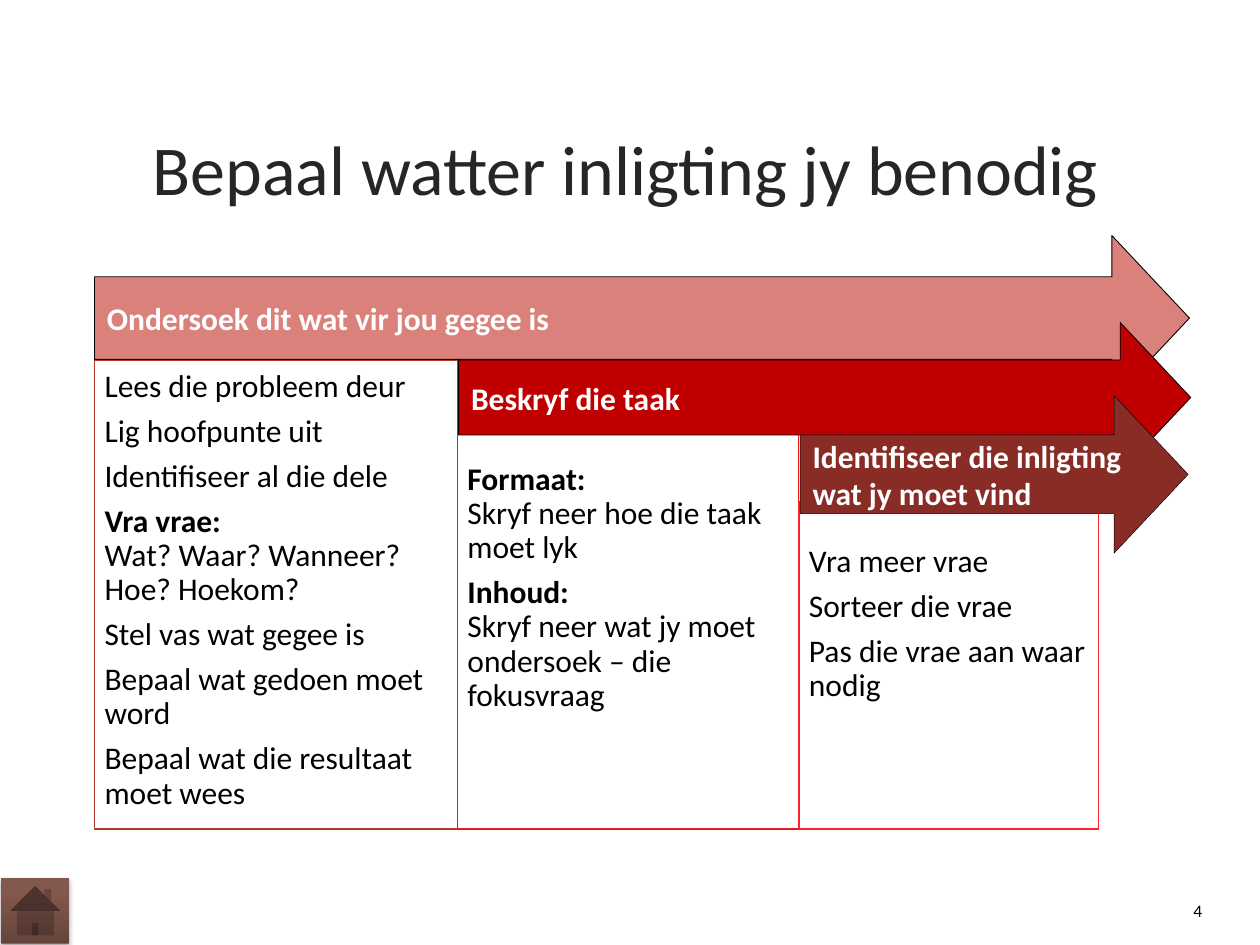
from dataclasses import dataclass

from lxml import etree
from pptx import Presentation
from pptx.dml.color import RGBColor
from pptx.enum.shapes import MSO_SHAPE
from pptx.enum.text import MSO_ANCHOR, PP_ALIGN
from pptx.util import Inches, Pt

RECTANGLE, ARROW, HOME = (
    MSO_SHAPE.RECTANGLE, MSO_SHAPE.RIGHT_ARROW, MSO_SHAPE.ACTION_BUTTON_HOME)
TOP, MIDDLE = MSO_ANCHOR.TOP, MSO_ANCHOR.MIDDLE
LEFT, CENTER, RIGHT = PP_ALIGN.LEFT, PP_ALIGN.CENTER, PP_ALIGN.RIGHT
DRAWING_NS = "http://schemas.openxmlformats.org/drawingml/2006/main"

WIDTH, HEIGHT = Inches(10), Inches(7.5)


@dataclass(frozen=True)
class Theme:
    font: str = "Calibri"
    title_size: int = 40
    body_size: int = 18
    number_size: int = 10
    title: str = "262626"
    ink: str = "000000"
    paper: str = "FFFFFF"
    arrow_fills: tuple = ("DB817B", "C00000", "882C25")
    arrow_widths: tuple = (0.5, 0.5, 0.25)
    panel_lines: tuple = ("B4362D", "E81918", "FF212D")
    panel_width: float = 0.75
    home_stops: tuple = ((0, "65443B"), (80, "83584D"), (100, "85584C"))


THEME = Theme()

# Horizontal and vertical places are percentages of the slide's size.
PANEL_EDGES = (7.5, 36.3, 63.4, 87.2)
PANEL_TOPS = (38.13, 44.4, 53.07)
PANEL_BOTTOM = 87.73
ARROW_TOPS = (24.93, 34.13, 41.87)
ARROW_HEIGHTS = (17.47, 15.87, 16.67)
ARROW_TIPS = (94.4, 94.5, 94.3)
TITLE_BOX = (4.9, 12, 89.5, 11.47)
NUMBER_BOX = (92.1, 94.27, 4.3, 4.13)
HOME_BOX = (0.1, 92.93, 5.4, 6.93)

PANEL_INSET = Inches(0.08)
BLANK_LINE = Inches(0.27)

# A paragraph is a (bold heading, plain text) pair.
STEPS = (
    ("Ondersoek dit wat vir jou gegee is", (
        ("", "Lees die probleem deur"),
        ("", "Lig hoofpunte uit"),
        ("", "Identifiseer al die dele"),
        ("Vra vrae:", "Wat? Waar? Wanneer? Hoe? Hoekom?"),
        ("", "Stel vas wat gegee is"),
        ("", "Bepaal wat gedoen moet word"),
        ("", "Bepaal wat die resultaat moet wees"))),
    ("Beskryf die taak", (
        ("Formaat:", "Skryf neer hoe die taak moet lyk"),
        ("Inhoud:", "Skryf neer wat jy moet ondersoek – die fokusvraag"))),
    ("Identifiseer die inligting wat jy moet vind", (
        ("", "Vra meer vrae"),
        ("", "Sorteer die vrae"),
        ("", "Pas die vrae aan waar nodig"))),
)


def place(box):
    """Turn a box in percentages into slide lengths."""
    left, top, width, height = box
    return (int(WIDTH * left / 100), int(HEIGHT * top / 100),
            int(WIDTH * width / 100), int(HEIGHT * height / 100))


def apply_format(target, values):
    for name, value in values.items():
        setattr(target, name, value)


def add_run(paragraph, text, size, color, bold=False):
    run = paragraph.add_run()
    run.text = text
    apply_format(run.font, {"name": THEME.font, "size": Pt(size), "bold": bold})
    run.font.color.rgb = RGBColor.from_string(color)


def add_block(slide, kind, box, fill, line, line_width):
    block = slide.shapes.add_shape(kind, *place(box))
    block.shadow.inherit = False
    block.fill.solid()
    block.fill.fore_color.rgb = RGBColor.from_string(fill)
    block.line.color.rgb = RGBColor.from_string(line)
    block.line.width = Pt(line_width)
    return block


def add_label(slide, box, text, size, color, alignment):
    frame = slide.shapes.add_textbox(*place(box)).text_frame
    apply_format(frame, {"word_wrap": True, "vertical_anchor": MIDDLE})
    frame.paragraphs[0].alignment = alignment
    add_run(frame.paragraphs[0], text, size, color)


def add_panel(slide, box, line, paragraphs, top_inset):
    panel = add_block(slide, RECTANGLE, box, THEME.paper, line, THEME.panel_width)
    frame = panel.text_frame
    apply_format(frame, {
        "word_wrap": True, "vertical_anchor": TOP, "margin_top": top_inset,
        "margin_left": PANEL_INSET, "margin_right": PANEL_INSET,
        "margin_bottom": PANEL_INSET})
    for index, (heading, text) in enumerate(paragraphs):
        paragraph = frame.add_paragraph() if index else frame.paragraphs[0]
        apply_format(paragraph, {
            "alignment": LEFT, "line_spacing": 0.9, "space_after": Pt(6.3)})
        if heading:
            add_run(paragraph, heading, THEME.body_size, THEME.ink, True)
            paragraph.add_line_break()
        add_run(paragraph, text, THEME.body_size, THEME.ink)


def add_arrow(slide, box, fill, line_width, heading):
    arrow = add_block(slide, ARROW, box, fill, THEME.ink, line_width)
    arrow.adjustments[0], arrow.adjustments[1] = 0.5, 0.47
    frame = arrow.text_frame
    apply_format(frame, {"word_wrap": True, "vertical_anchor": MIDDLE})
    frame.paragraphs[0].alignment = LEFT
    add_run(frame.paragraphs[0], heading, THEME.body_size, THEME.paper, True)


def add_step(slide, index):
    """Draw one panel with its heading arrow lying over the top of it."""
    heading, paragraphs = STEPS[index]
    left, right = PANEL_EDGES[index:index + 2]
    top = PANEL_TOPS[index]
    add_panel(slide, (left, top, right - left, PANEL_BOTTOM - top),
              THEME.panel_lines[index], paragraphs,
              PANEL_INSET + (BLANK_LINE if index else 0))
    arrow_left = left + (0.1 if index else 0)
    arrow_box = (arrow_left, ARROW_TOPS[index],
                 ARROW_TIPS[index] - arrow_left, ARROW_HEIGHTS[index])
    add_arrow(slide, arrow_box, THEME.arrow_fills[index],
              THEME.arrow_widths[index], heading)


def add_home_button(slide, box):
    """Draw the home button with a three-stop gradient and a soft shadow."""
    button = slide.shapes.add_shape(HOME, *place(box))
    properties = button._element.spPr
    stops = "".join(
        f'<a:gs pos="{share * 1000}"><a:srgbClr val="{color}"/></a:gs>'
        for share, color in THEME.home_stops)
    properties.append(etree.fromstring(
        f'<a:gradFill xmlns:a="{DRAWING_NS}" rotWithShape="1">'
        f'<a:gsLst>{stops}</a:gsLst><a:lin ang="16200000" scaled="0"/></a:gradFill>'))
    button.line.fill.background()
    properties.append(etree.fromstring(
        f'<a:effectLst xmlns:a="{DRAWING_NS}"><a:outerShdw blurRad="{Pt(3.1)}" '
        f'dist="{Pt(1.8)}" dir="5400000" rotWithShape="0">'
        f'<a:srgbClr val="{THEME.ink}"><a:alpha val="35000"/></a:srgbClr>'
        '</a:outerShdw></a:effectLst>'))


def main():
    deck = Presentation()
    deck.slide_width, deck.slide_height = WIDTH, HEIGHT
    slide = deck.slides.add_slide(deck.slide_layouts[6])
    add_label(slide, TITLE_BOX, "Bepaal watter inligting jy benodig",
              THEME.title_size, THEME.title, CENTER)
    for index in range(len(STEPS)):
        add_step(slide, index)
    add_label(slide, NUMBER_BOX, "4", THEME.number_size, THEME.ink, RIGHT)
    add_home_button(slide, HOME_BOX)
    deck.save("out.pptx")


if __name__ == "__main__":
    main()
